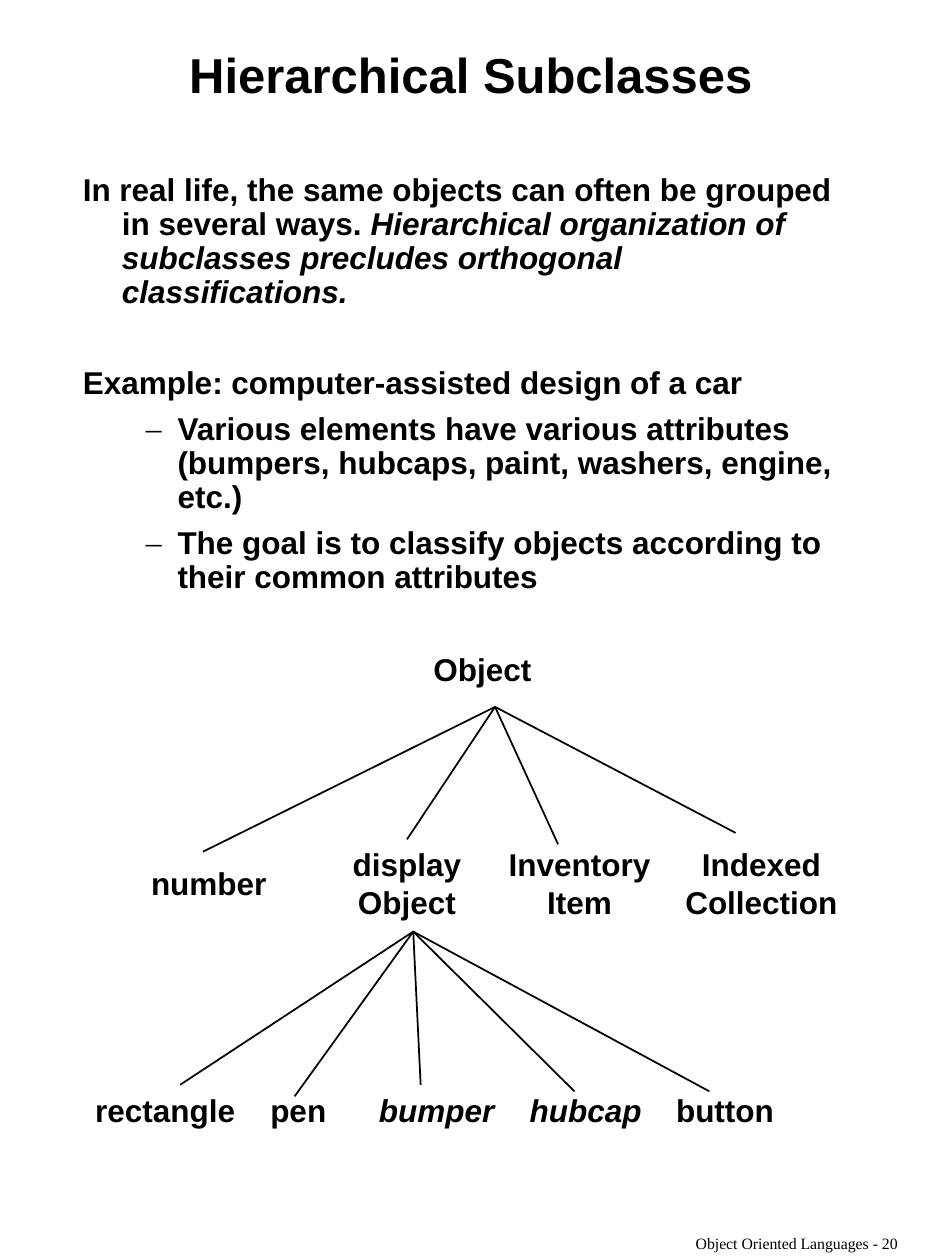
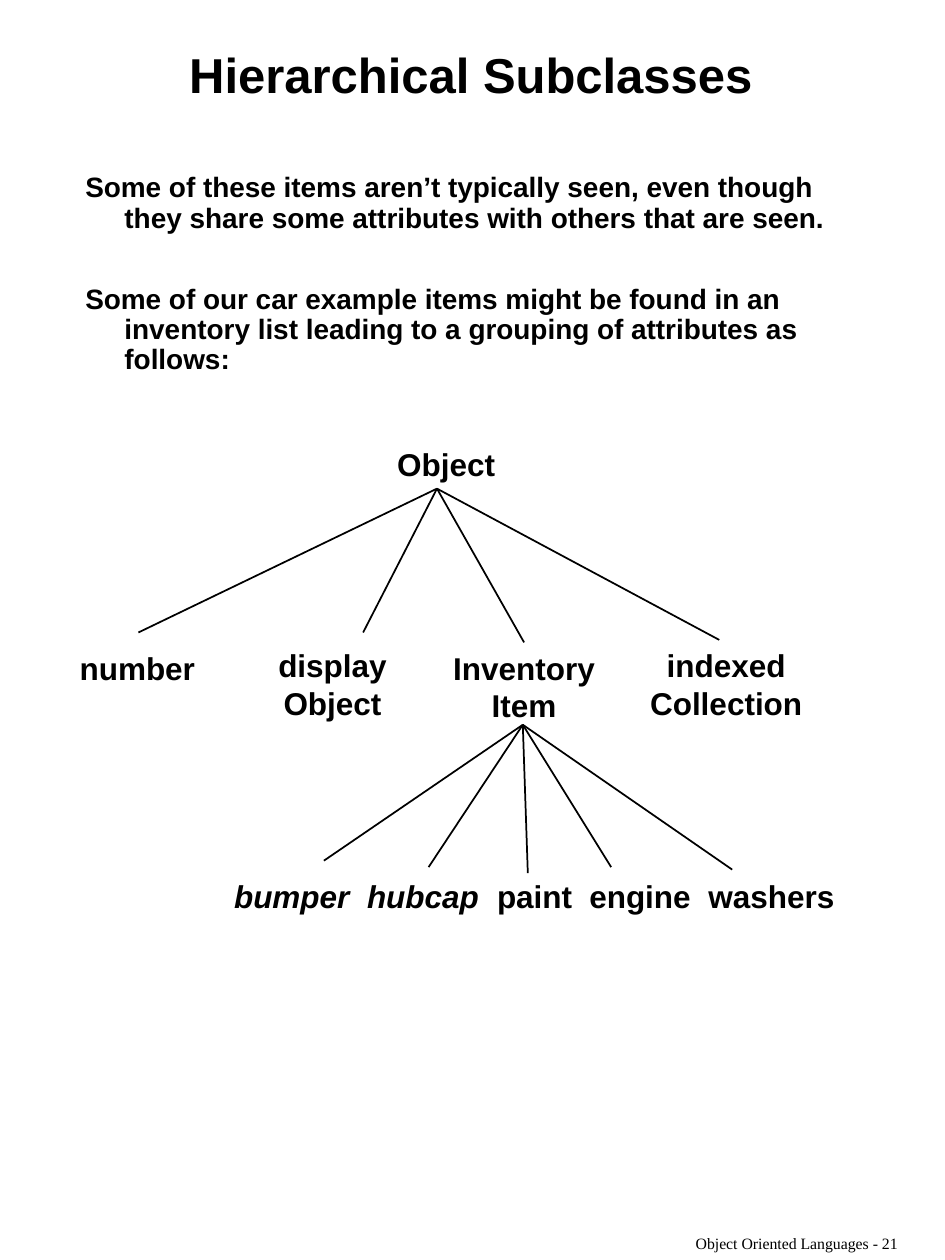
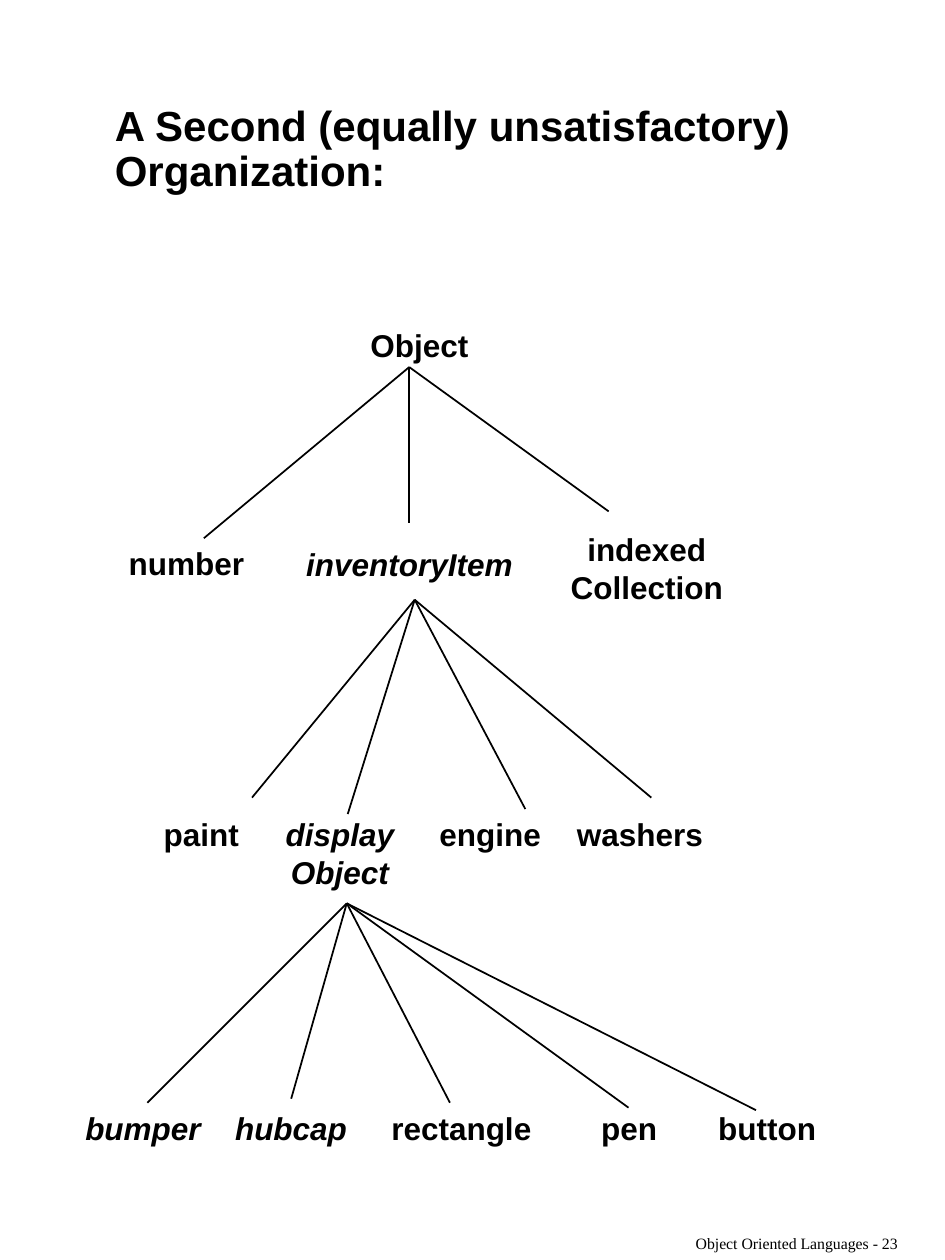
from lxml import etree
from pptx import Presentation
from pptx import util as u
from pptx.dml.color import RGBColor
from pptx.enum import shapes, text
from pptx.oxml.ns import qn

COLORS = {"ink": "000000"}
SANS, SERIF = "Arial", "Times New Roman"
CENTER, LEFT = text.PP_ALIGN.CENTER, text.PP_ALIGN.LEFT
LINE_SPACING = 0.9

# Shared boxes: left, top, width, height in cm
TITLE_BOX = (2.06, 0.79, 14.86, 1.55)
FOOTER_BOX = (13.56, 24.79, 5, 0.58)
ROW_HEIGHT = {1: 1.02, 2: 1.78}  # by number of lines

# Class labels and their widths in cm
OBJECT, NUMBER = "Object", "number"
DISPLAY, INVENTORY = "display\nObject", "Inventory\nItem"
INDEXED, INDEXED_CAPITAL = "indexed\nCollection", "Indexed\nCollection"
INVENTORY_ITEM = "inventoryItem"
WIDTHS = {OBJECT: 2.49, NUMBER: 2.84, DISPLAY: 2.69, INVENTORY: 3.35,
          INDEXED: 3.58, INDEXED_CAPITAL: 3.58, INVENTORY_ITEM: 4.67}


def cm(values):
    return [u.Cm(value) for value in values]


def apply(target, values):
    for name, value in values.items():
        setattr(target, name, value)


def add_run(paragraph, words, size, name=SANS, bold=True, italic=False):
    run = paragraph.add_run()
    run.text = words
    apply(run.font, {"size": u.Pt(size), "name": name, "bold": bold, "italic": italic})
    run.font.color.rgb = RGBColor.from_string(COLORS["ink"])


def add_text_box(slide, box, wrap=True):
    frame = slide.shapes.add_textbox(*cm(box))
    apply(frame.text_frame, {"word_wrap": wrap, "auto_size": text.MSO_AUTO_SIZE.NONE})
    return frame


def add_title(slide, words, size=28, align=CENTER, box=TITLE_BOX):
    title = slide.shapes.title
    apply(title, dict(zip(("left", "top", "width", "height"), cm(box))))
    apply(title.text_frame, {"word_wrap": True, "auto_size": text.MSO_AUTO_SIZE.NONE,
                             "vertical_anchor": text.MSO_ANCHOR.MIDDLE})
    paragraph = title.text_frame.paragraphs[0]
    apply(paragraph, {"alignment": align, "line_spacing": LINE_SPACING})
    add_run(paragraph, words, size)


def add_footer(slide, number, box=FOOTER_BOX):
    paragraph = add_text_box(slide, box).text_frame.paragraphs[0]
    apply(paragraph, {"alignment": CENTER, "line_spacing": LINE_SPACING})
    add_run(paragraph, f"Object Oriented Languages - {number}", 9, SERIF, bold=False)


def add_body(slide, box, size, items):
    """Each item is (space before, is bullet, [(words, italic), ...])."""
    frame = add_text_box(slide, box).text_frame
    for index, (space, bullet, runs) in enumerate(items):
        paragraph = frame.add_paragraph() if index else frame.paragraphs[0]
        properties = paragraph._p.get_or_add_pPr()
        margin, hang = (1.91, 0.64) if bullet else (0.79, 0.79)
        properties.set("marL", str(u.Cm(margin)))
        properties.set("indent", str(-u.Cm(hang)))
        if bullet:
            etree.SubElement(properties, qn("a:buFont"), typeface=SERIF)
            etree.SubElement(properties, qn("a:buChar"), char="–")
        apply(paragraph, {"line_spacing": LINE_SPACING, "space_before": u.Pt(space)})
        for words, italic in runs:
            add_run(paragraph, words, size, italic=italic)


def add_label(slide, box, name, italic=False):
    """Centre a class name of one or two lines in its box."""
    label = add_text_box(slide, box, wrap=False)
    for index, line in enumerate(name.split("\n")):
        frame = label.text_frame
        paragraph = frame.add_paragraph() if index else frame.paragraphs[0]
        paragraph.alignment = CENTER
        add_run(paragraph, line, 18, italic=italic)
    return label


def add_leaf_row(slide, box, leaves):
    """Each leaf is (name, tab position, italic); the first starts at zero."""
    paragraph = add_text_box(slide, box).text_frame.paragraphs[0]
    tabs = etree.SubElement(paragraph._p.get_or_add_pPr(), qn("a:tabLst"))
    for index, (name, position, italic) in enumerate(leaves):
        if index:
            etree.SubElement(tabs, qn("a:tab"), pos=str(u.Cm(position)), algn="l")
            add_run(paragraph, "\t", 18)
        add_run(paragraph, name, 18, italic=italic)


def add_tree(slide, origin, labels, fans, rows):
    """Labels, fans of lines and leaf rows, all measured from the origin.

    A fan is (apex, ends); an end is a point or the label whose top it meets.
    """
    x, y = origin
    nodes = {}
    for name, left, top, italic in labels:
        box = (x + left, y + top, WIDTHS[name], ROW_HEIGHT[name.count("\n") + 1])
        nodes[name] = add_label(slide, box, name, italic)
    for left, top, width, leaves in rows:
        add_leaf_row(slide, (x + left, y + top, width, ROW_HEIGHT[1]), leaves)
    for apex, ends in fans:
        start = (x + apex[0], y + apex[1])
        for end in ends:
            joined = end in nodes
            target = start if joined else (x + end[0], y + end[1])
            line = slide.shapes.add_connector(
                shapes.MSO_CONNECTOR.STRAIGHT, *cm(start + target))
            if joined:
                line.end_connect(nodes[end], 0)
            line.line.width = u.Pt(1)
            line.line.color.rgb = RGBColor.from_string(COLORS["ink"])
            etree.SubElement(line._element.spPr, qn("a:effectLst"))


def build_display_slide(slide):
    add_title(slide, "Hierarchical Subclasses")
    add_body(slide, (1.42, 3.38, 15.88, 20.75), 18, [
        (0, False, [
            ("In real life, the same objects can often be grouped in several ways. ", False),
            ("Hierarchical organization of subclasses precludes orthogonal "
             "classifications.", True)]),
        (33, False, [("Example: computer-assisted design of a car", False)]),
        (6.8, True, [("Various elements have various attributes (bumpers, hubcaps, "
                      "paint, washers, engine, etc.)", False)]),
        (6.8, True, [("The goal is to classify objects according to their common "
                      "attributes", False)])])
    add_tree(
        slide, (1, 12),
        labels=[(OBJECT, 7.48, 0.98, False), (NUMBER, 1.79, 5.3, False),
                (DISPLAY, 5.86, 4.92, False), (INVENTORY, 9.01, 4.92, False),
                (INDEXED_CAPITAL, 12.56, 4.92, False)],
        fans=[((8.98, 2.25), [(3.09, 5.17), DISPLAY, (10.25, 5.02), (13.83, 4.79)]),
              ((7.33, 6.78), [(2.63, 9.87), (4.94, 10.1), (7.48, 9.87),
                              (10.58, 10), (13.3, 10)])],
        rows=[(0.67, 9.87, 14.38, [
            ("rectangle", 0, False), ("pen", 3.53, False), ("bumper", 5.72, True),
            ("hubcap", 8.76, True), ("button", 11.71, False)])])


def build_inventory_slide(slide):
    add_title(slide, "Hierarchical Subclasses")
    add_body(slide, (1.47, 3.38, 15.62, 4.83), 16, [
        (0, False, [("Some of these items aren’t typically seen, even though they share "
                     "some attributes with others that are seen.", False)]),
        (29, False, [("Some of our car example items might be found in an inventory list "
                      "leading to a grouping of attributes as follows:", False)])])
    add_tree(
        slide, (1, 8),
        labels=[(OBJECT, 6.75, 0.84, False), (NUMBER, 0.35, 4.95, False),
                (DISPLAY, 4.36, 4.9, False), (INVENTORY, 7.89, 4.95, False),
                (INDEXED, 11.85, 4.9, False)],
        fans=[((7.81, 1.85), [(1.79, 4.75), (6.32, 4.75), INVENTORY, (13.5, 4.9)]),
              ((9.54, 6.61), [(5.53, 9.35), (7.64, 9.48), (9.64, 9.6),
                              (11.32, 9.48), (13.76, 9.53)])],
        rows=[(3.47, 9.55, 12.85, [
            ("bumper", 0, True), ("hubcap", 2.68, True), ("paint", 5.3, False),
            ("engine", 7.16, False), ("washers", 9.56, False)])])


def build_second_slide(slide):
    left, _, width, height = TITLE_BOX
    add_title(slide, "A Second (equally unsatisfactory) Organization:", 24, LEFT,
              (left, 2.26, width, height))
    add_tree(
        slide, (1, 6),
        labels=[(OBJECT, 6.21, 0.45, False), (NUMBER, 1.34, 4.85, False),
                (DISPLAY, 4.51, 10.31, True), (INDEXED, 10.25, 4.57, False),
                (INVENTORY_ITEM, 4.92, 4.87, True)],
        fans=[((7.25, 1.4), [(3.11, 4.85), (7.25, 4.54), (11.27, 4.31)]),
              ((7.36, 6.09), [(4.08, 10.08), (6.01, 10.41), (9.59, 10.31),
                              (12.13, 10.08)]),
              ((5.99, 12.21), [(1.97, 16.23), (4.87, 16.15), (8.07, 16.23),
                               (11.67, 16.33), (14.24, 16.38)])],
        rows=[(2.05, 10.31, 11.6, [
                  ("paint", 0, False), ("engine", 5.56, False),
                  ("washers", 8.33, False)]),
              (0.47, 16.23, 15.5, [
                  ("bumper", 0, True), ("hubcap", 3.02, True),
                  ("rectangle", 6.17, False), ("pen", 10.4, False),
                  ("button", 12.76, False)])])


def main():
    presentation = Presentation()
    presentation.slide_width, presentation.slide_height = cm((19.05, 25.4))
    layout = presentation.slide_layouts.get_by_name("Title Only")
    pages = {20: build_display_slide, 21: build_inventory_slide, 23: build_second_slide}
    for number, build in pages.items():
        slide = presentation.slides.add_slide(layout)
        build(slide)
        add_footer(slide, number)
    presentation.save("out.pptx")


if __name__ == "__main__":
    main()
